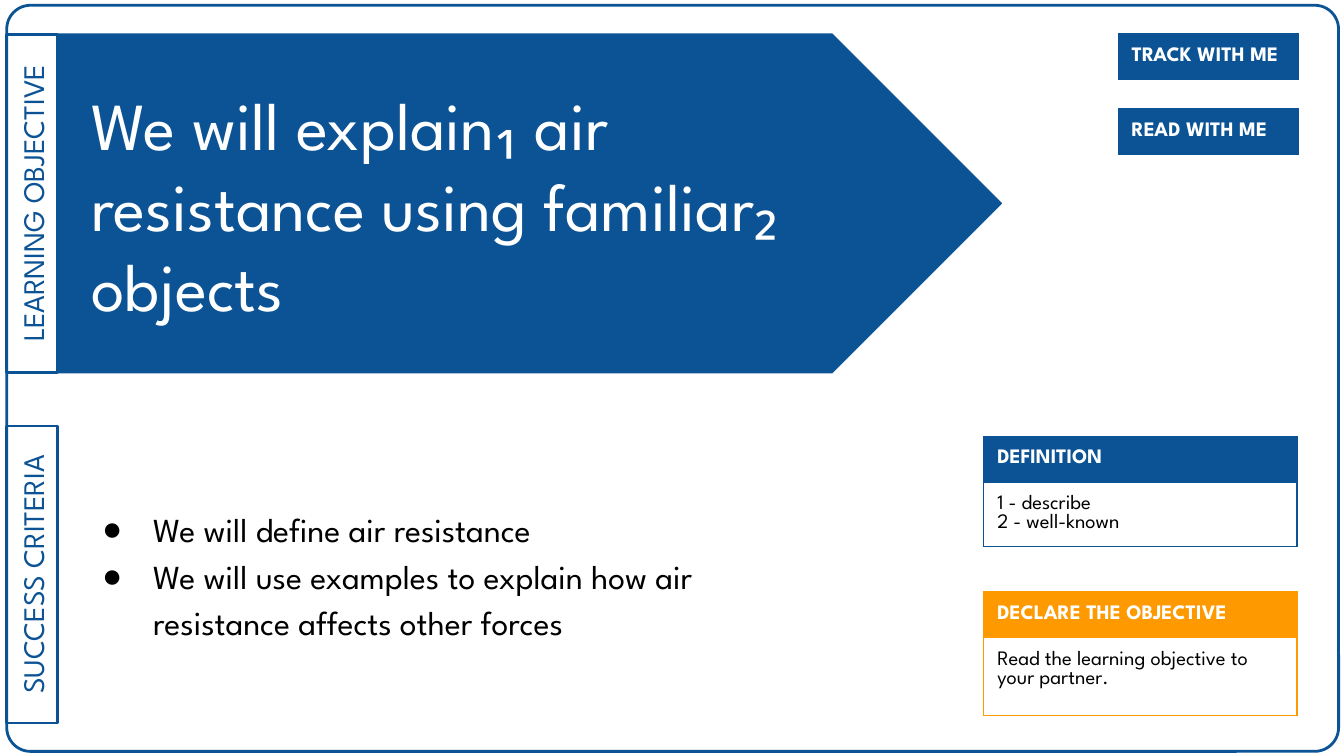
from dataclasses import dataclass
from lxml.etree import SubElement
from pptx import Presentation
from pptx.dml.color import RGBColor
from pptx.enum.shapes import MSO_SHAPE
from pptx.enum.text import MSO_ANCHOR, MSO_AUTO_SIZE, PP_ALIGN
from pptx.oxml.ns import qn
from pptx.util import Inches, Pt

BLUE, GOLD, WHITE, BLACK = "0B5394", "FF9900", "FFFFFF", "000000"
FONT = "League Spartan"
WIDE = 10
HIGH = WIDE * 9 / 16
PAD = Inches(0.1)
HEAD = 0.34  # height of a card's heading row


@dataclass
class Tab:
    text: str
    mid: float  # centre, as a share of the slide height
    size: float  # length, as a share of the slide height


@dataclass
class Card:
    head: str
    left: float  # shares of the slide size
    top: float
    width: float
    tint: str = BLUE
    body: tuple[str, ...] = ()
    deep: float = 0  # height of the body row in inches


TABS = [Tab("LEARNING OBJECTIVE", 0.269, 0.447),
        Tab("SUCCESS CRITERIA", 0.76, 0.393)]
CARDS = [
    Card("DECLARE THE OBJECTIVE", 0.732, 0.783, 0.233, GOLD,
         ("Read the learning objective to your partner.",), 0.58),
    Card("DEFINITION", 0.732, 0.577, 0.233, BLUE,
         ("1 - describe", "2 - well-known"), 0.47),
    Card("TRACK WITH ME", 0.832, 0.044, 0.134),
    Card("READ WITH ME", 0.832, 0.144, 0.134),
]


def rgb(code: str) -> RGBColor:
    return RGBColor.from_string(code)


def box(left: float, top: float, width: float, high: float) -> tuple:
    """Turn shares of the slide size into lengths."""
    return (Inches(left * WIDE), Inches(top * HIGH),
            Inches(width * WIDE), Inches(high * HIGH))


def write(para, text: str, size: float, tint: str, bold: bool = False) -> None:
    run = para.add_run()
    run.text = text
    font = run.font
    font.name, font.size, font.bold = FONT, Pt(size), bold
    font.color.rgb = rgb(tint)


def fit(frame) -> None:
    frame.word_wrap = True
    frame.auto_size = MSO_AUTO_SIZE.NONE
    frame.vertical_anchor = MSO_ANCHOR.MIDDLE
    frame.margin_left = frame.margin_right = PAD
    frame.margin_top = frame.margin_bottom = PAD


def shape(slide, kind, place: tuple, adj: float | None = None,
          fill: str | None = None, line: float = 1.5):
    item = slide.shapes.add_shape(kind, *place)
    item.shadow.inherit = False
    if adj is not None:
        item.adjustments[0] = adj
    if fill:
        item.fill.solid()
        item.fill.fore_color.rgb = rgb(fill)
    else:
        item.fill.background()
    item.line.color.rgb = rgb(BLUE)
    item.line.width = Pt(line)
    return item


def draw_tab(slide, tab: Tab) -> None:
    thick, mid = 0.38, 0.24
    place = (Inches(mid - tab.size * HIGH / 2), Inches(tab.mid * HIGH - thick / 2),
             Inches(tab.size * HIGH), Inches(thick))
    item = shape(slide, MSO_SHAPE.RECTANGLE, place)
    item.rotation = 270
    fit(item.text_frame)
    para = item.text_frame.paragraphs[0]
    para.alignment = PP_ALIGN.CENTER
    write(para, tab.text, 16, BLUE)


def edge(cell, tint: str) -> None:
    props = cell._tc.get_or_add_tcPr()
    for n, side in enumerate(("a:lnL", "a:lnR", "a:lnT", "a:lnB")):
        line = props.makeelement(qn(side), {"w": str(Pt(0.75))})
        fill = SubElement(line, qn("a:solidFill"))
        SubElement(fill, qn("a:srgbClr"), val=tint)
        props.insert(n, line)


def draw_card(slide, card: Card) -> None:
    rows = [((card.head,), HEAD, WHITE, True)]
    if card.body:
        rows.append((card.body, card.deep, BLACK, False))
    high = sum(row[1] for row in rows) / HIGH
    table = slide.shapes.add_table(
        len(rows), 1, *box(card.left, card.top, card.width, high)).table
    table.first_row = table.horz_banding = False
    for n, (lines, deep, tint, bold) in enumerate(rows):
        table.rows[n].height = Inches(deep)
        cell = table.cell(n, 0)
        cell.margin_left = cell.margin_right = PAD
        cell.margin_top = cell.margin_bottom = PAD
        if n == 0:
            cell.fill.solid()
            cell.fill.fore_color.rgb = rgb(card.tint)
        else:
            cell.fill.background()
        edge(cell, card.tint)
        frame = cell.text_frame
        for k, text in enumerate(lines):
            para = frame.add_paragraph() if k else frame.paragraphs[0]
            write(para, text, 11, tint, bold)


def place_text(slide, holder, place: tuple):
    """Move a placeholder and bring it in front of the shapes."""
    holder.left, holder.top, holder.width, holder.height = place
    slide.shapes.element.append(holder.element)
    fit(holder.text_frame)
    return holder.text_frame


def bullet(para) -> None:
    props = para._p.get_or_add_pPr()
    props.set("marL", str(Inches(0.5)))
    props.set("indent", str(Inches(-0.38)))
    tint = SubElement(props, qn("a:buClr"))
    SubElement(tint, qn("a:srgbClr"), val=BLACK)
    SubElement(props, qn("a:buChar"), char="●")


def main() -> None:
    deck = Presentation()
    deck.slide_width, deck.slide_height = Inches(WIDE), Inches(HIGH)
    slide = deck.slides.add_slide(deck.slide_layouts[1])
    title, body = slide.shapes.title, slide.placeholders[1]

    # Frame, side tabs and arrow
    shape(slide, MSO_SHAPE.ROUNDED_RECTANGLE,
          box(0.005, 0.007, 0.991, 0.987), 0.032)
    for tab in TABS:
        draw_tab(slide, tab)
    shape(slide, MSO_SHAPE.PENTAGON, box(0.043, 0.045, 0.702, 0.448),
          0.5, BLUE, 0.75)

    # Success criteria
    frame = place_text(slide, body, box(0.054, 0.562, 0.568, 0.391))
    goals = ("We will define air resistance",
             "We will use examples to explain how air resistance "
             "affects other forces")
    for n, goal in enumerate(goals):
        para = frame.add_paragraph() if n else frame.paragraphs[0]
        bullet(para)
        para.line_spacing = 1.15
        para.space_before = Pt(0)
        write(para, goal, 18, BLACK)

    # Learning objective
    frame = place_text(slide, title, box(0.058, 0.092, 0.568, 0.357))
    para = frame.paragraphs[0]
    para.alignment = PP_ALIGN.LEFT
    write(para, "We will explain₁ air resistance using familiar₂ objects",
          36, WHITE)

    # Cards
    for card in CARDS:
        draw_card(slide, card)

    deck.save("out.pptx")


if __name__ == "__main__":
    main()
